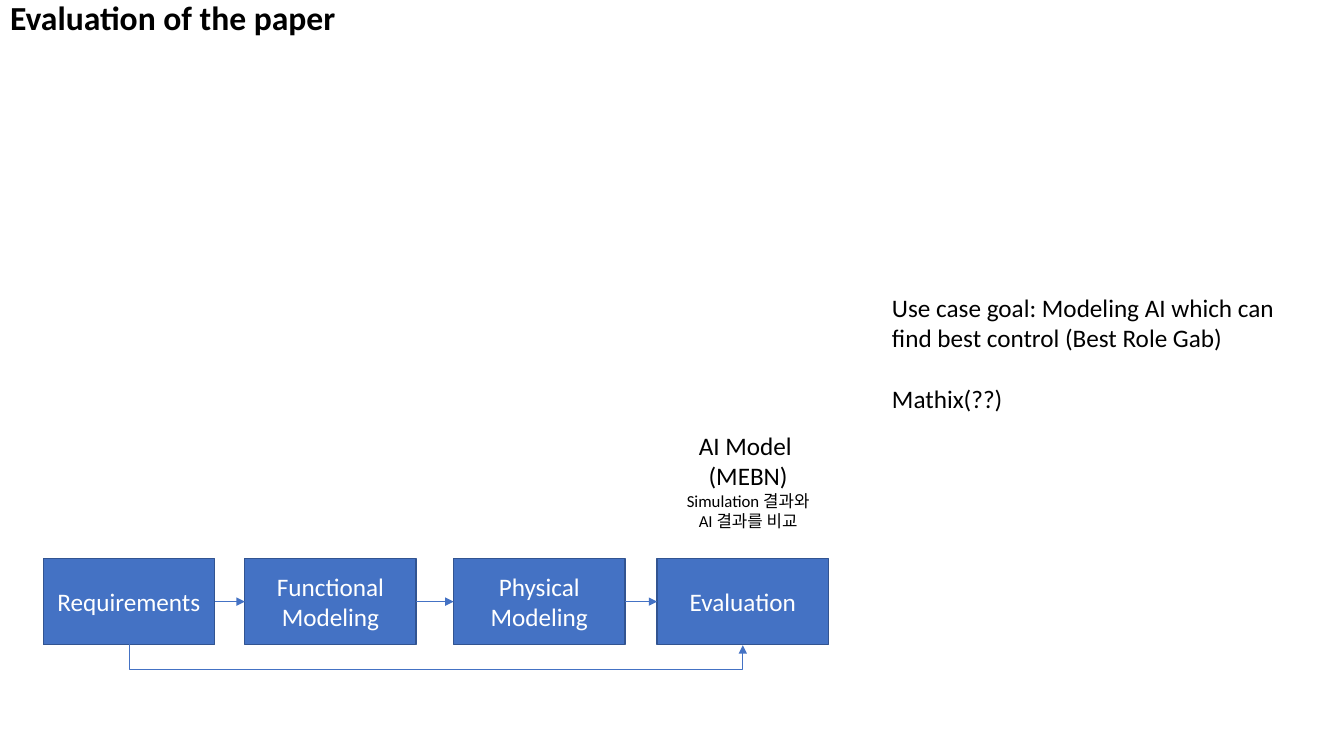
from dataclasses import dataclass
from itertools import pairwise
from typing import Any

from lxml import etree
from pptx import Presentation
from pptx import util as u
from pptx.dml.color import RGBColor
from pptx.enum import shapes, text
from pptx.oxml import ns

HUES = {"box": "4472C4", "edge": "325491", "ink": "000000", "pale": "FFFFFF"}
TOP, WIDE, HIGH = 14.07, 4.32, 2.18
DROP, RISE = 0.64, 0.02
LEFT, MID = text.PP_ALIGN.LEFT, text.PP_ALIGN.CENTER


@dataclass
class Step:
    left: float
    label: str


@dataclass
class Line:
    words: str
    size: int = 18
    gap: int = 0


@dataclass
class Note:
    place: tuple[float, float, float, float]
    lines: list[Line]
    align: Any
    wrap: bool


STEPS = [
    Step(1.09, "Requirements"),
    Step(6.17, "Functional\nModeling"),
    Step(11.43, "Physical\nModeling"),
    Step(16.56, "Evaluation"),
]
NOTES = [
    Note((22.23, 7.24, 10.67, 3.33),
         [Line("Use case goal: Modeling AI which can find best control (Best Role Gab)"),
          Line("Mathix(??)", gap=22)], LEFT, True),
    Note((16.99, 10.72, 3.73, 2.82),
         [Line("AI Model "), Line("(MEBN)"),
          Line("Simulation 결과와", 12), Line("AI 결과를 비교", 12)], MID, False),
]


def hue(name: str) -> RGBColor:
    return RGBColor.from_string(HUES[name])


def apply(item: Any, form: dict[str, Any]) -> None:
    for key, value in form.items():
        setattr(item, key, value)


def write(frame: Any, lines: list[Line], ink: str, align: Any,
          bold: bool = False, pitch: float = 1.0) -> None:
    frame.text = "\n".join(line.words for line in lines)
    for para, line in zip(frame.paragraphs, lines):
        apply(para, {"alignment": align, "line_spacing": pitch,
                     "space_before": u.Pt(line.gap)})
        for run in para.runs:
            apply(run.font, {"name": "Calibri", "size": u.Pt(line.size), "bold": bold})
            run.font.color.rgb = hue(ink)


def head(slide: Any, words: str) -> None:
    title = slide.shapes.title
    apply(title, {"left": 0, "top": 0, "width": u.Cm(29.21), "height": u.Cm(0.97)})
    apply(title.text_frame, {"vertical_anchor": text.MSO_ANCHOR.MIDDLE,
                             "auto_size": text.MSO_AUTO_SIZE.NONE})
    write(title.text_frame, [Line(words, 24)], "ink", LEFT, True, 0.9)


def block(slide: Any, step: Step) -> Any:
    box = slide.shapes.add_shape(shapes.MSO_SHAPE.RECTANGLE, u.Cm(step.left),
                                 u.Cm(TOP), u.Cm(WIDE), u.Cm(HIGH))
    box.shadow.inherit = False
    box.fill.solid()
    box.fill.fore_color.rgb = hue("box")
    box.line.color.rgb = hue("edge")
    box.line.width = u.Pt(1)
    box.text_frame.vertical_anchor = text.MSO_ANCHOR.MIDDLE
    write(box.text_frame, [Line(part) for part in step.label.split("\n")], "pale", MID)
    return box


def link(slide: Any, kind: Any, left: float, top: float, right: float, base: float) -> Any:
    wire = slide.shapes.add_connector(kind, u.Cm(left), u.Cm(top), u.Cm(right), u.Cm(base))
    wire.line.color.rgb = hue("box")
    wire.line.width = u.Pt(0.5)
    etree.SubElement(wire.line._get_or_add_ln(), ns.qn("a:tailEnd"), type="triangle")
    etree.SubElement(wire._element.spPr, ns.qn("a:effectLst"))
    return wire


def arrow(slide: Any, first: Step, last: Step, start: Any, end: Any) -> None:
    mid = TOP + HIGH / 2
    wire = link(slide, shapes.MSO_CONNECTOR.STRAIGHT, first.left + WIDE, mid, last.left, mid)
    wire.begin_connect(start, 3)
    wire.end_connect(end, 1)


def loop(slide: Any, first: Step, last: Step) -> None:
    span = last.left - first.left
    mid, base = (first.left + last.left + WIDE) / 2, TOP + HIGH
    wire = link(slide, shapes.MSO_CONNECTOR.ELBOW, mid - RISE / 2, base - span / 2,
                mid + RISE / 2, base + span / 2)
    form = wire._element.spPr
    frame = form.find(ns.qn("a:xfrm"))
    frame.set("rot", "16200000")
    frame.set("flipH", "1")
    bends = form.find(ns.qn("a:prstGeom")).find(ns.qn("a:avLst"))
    etree.SubElement(bends, ns.qn("a:gd"), name="adj1",
                     fmla=f"val {round(DROP / RISE * 100000)}")


def remark(slide: Any, note: Note) -> None:
    box = slide.shapes.add_textbox(*map(u.Cm, note.place))
    box.text_frame.word_wrap = note.wrap
    write(box.text_frame, note.lines, "ink", note.align)


def main() -> None:
    deck = Presentation()
    apply(deck, {"slide_width": u.Cm(33.87), "slide_height": u.Cm(19.05)})
    slide = deck.slides.add_slide(deck.slide_layouts[5])
    head(slide, "Evaluation of the paper")
    boxes = [block(slide, step) for step in STEPS]
    loop(slide, STEPS[0], STEPS[-1])
    for (first, last), (start, end) in zip(pairwise(STEPS), pairwise(boxes)):
        arrow(slide, first, last, start, end)
    for note in NOTES:
        remark(slide, note)
    deck.save("out.pptx")


if __name__ == "__main__":
    main()
